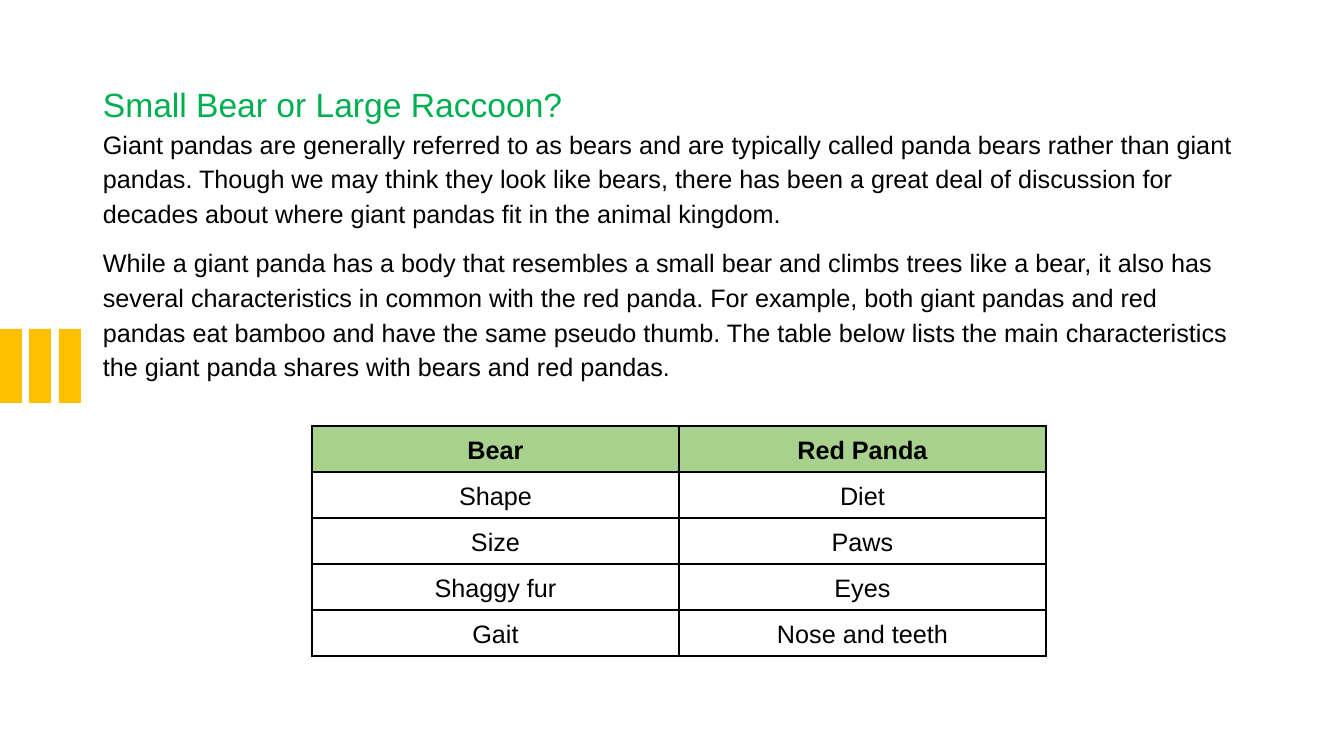
from lxml import etree
from pptx import Presentation
from pptx import util as u
from pptx.dml import color
from pptx.enum import shapes, text
from pptx.oxml import ns

EMU_PER_PIXEL = 914400 / 100.8
FONT = "Arial"
COLORS = {
    "accent": "FFC000",
    "heading": "00B050",
    "ink": "000000",
    "header": "A9D18E",
}
HEADING = "Small Bear or Large Raccoon?"
BODY = [
    "Giant pandas are generally referred to as bears and are typically called "
    "panda bears rather than giant pandas. Though we may think they look like "
    "bears, there has been a great deal of discussion for decades about where "
    "giant pandas fit in the animal kingdom.",
    "While a giant panda has a body that resembles a small bear and climbs trees "
    "like a bear, it also has several characteristics in common with the red "
    "panda. For example, both giant pandas and red pandas eat bamboo and have the "
    "same pseudo thumb. The table below lists the main characteristics the giant "
    "panda shares with bears and red pandas.",
]
TRAITS = [
    ("Bear", "Red Panda"),
    ("Shape", "Diet"),
    ("Size", "Paws"),
    ("Shaggy fur", "Eyes"),
    ("Gait", "Nose and teeth"),
]


def px(pixels):
    """Turn pixels into EMU."""
    return u.Emu(round(pixels * EMU_PER_PIXEL))


def rgb(name):
    """Look up a named colour."""
    return color.RGBColor.from_string(COLORS[name])


def write(paragraph, words, size=18, ink="ink", bold=False, spacing=1.15,
          before=0, after=10, align=text.PP_ALIGN.LEFT):
    """Fill a paragraph and format it."""
    paragraph.text = words
    paragraph.alignment = align
    paragraph.line_spacing = spacing
    paragraph.space_before = u.Pt(before)
    paragraph.space_after = u.Pt(after)
    for run in paragraph.runs:
        run.font.name = FONT
        run.font.size = u.Pt(size)
        run.font.bold = bold
        run.font.color.rgb = rgb(ink)


def add_bar(slide, left, top, width, height):
    """Add one plain accent bar."""
    bar = slide.shapes.add_shape(
        shapes.MSO_SHAPE.RECTANGLE, px(left), px(top), px(width), px(height))
    bar.shadow.inherit = False
    bar.fill.solid()
    bar.fill.fore_color.rgb = rgb("accent")
    bar.line.fill.background()


def add_article(slide, left, top, width, height):
    """Add the heading and its paragraphs in one text box."""
    article = slide.shapes.add_textbox(
        px(left), px(top), px(width), px(height)).text_frame
    article.word_wrap = True
    write(article.paragraphs[0], HEADING, size=24, ink="heading",
          spacing=1.5, before=12, after=0)
    for words in BODY:
        write(article.add_paragraph(), words)


def outline_cell(cell):
    """Draw a thin line on all four sides of a cell."""
    properties = cell._tc.get_or_add_tcPr()
    for position, side in enumerate(("lnL", "lnR", "lnT", "lnB")):
        line = etree.Element(ns.qn(f"a:{side}"), w=str(u.Pt(1)))
        fill = etree.SubElement(line, ns.qn("a:solidFill"))
        etree.SubElement(fill, ns.qn("a:srgbClr"), val=COLORS["ink"])
        properties.insert(position, line)


def add_traits_table(slide, left, top, column_width, row_height):
    """Add the table of shared traits, with a shaded header row."""
    rows, columns = len(TRAITS), len(TRAITS[0])
    table = slide.shapes.add_table(
        rows, columns, px(left), px(top),
        px(columns * column_width), px(rows * row_height)).table
    table.first_row = table.horz_banding = False
    for row, traits in enumerate(TRAITS):
        is_header = row == 0
        for column, trait in enumerate(traits):
            cell = table.cell(row, column)
            cell.vertical_anchor = text.MSO_ANCHOR.MIDDLE
            cell.margin_left = cell.margin_right = px(8)
            cell.margin_top = cell.margin_bottom = 0
            write(cell.text_frame.paragraphs[0], trait, bold=is_header,
                  align=text.PP_ALIGN.CENTER)
            if is_header:
                cell.fill.solid()
                cell.fill.fore_color.rgb = rgb("header")
            else:
                cell.fill.background()
            outline_cell(cell)


def main():
    """Build and save the slide."""
    deck = Presentation()
    deck.slide_width, deck.slide_height = px(1344), px(756)
    slide = deck.slides.add_slide(deck.slide_layouts[6])
    for index in range(3):
        add_bar(slide, index * 59 // 2, 329, 22, 74)
    add_article(slide, 93, 59, 1159, 622)
    add_traits_table(slide, 312, 426, 367, 46)
    deck.save("out.pptx")


main()
